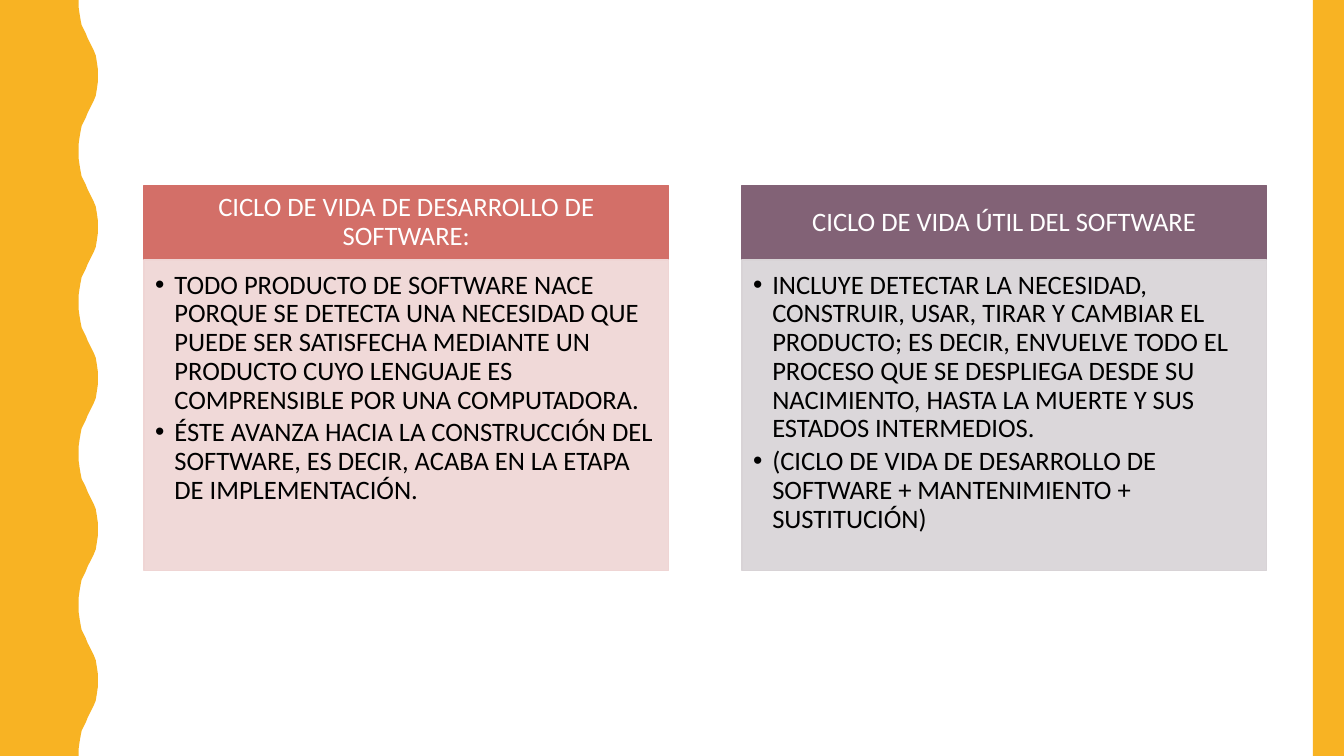
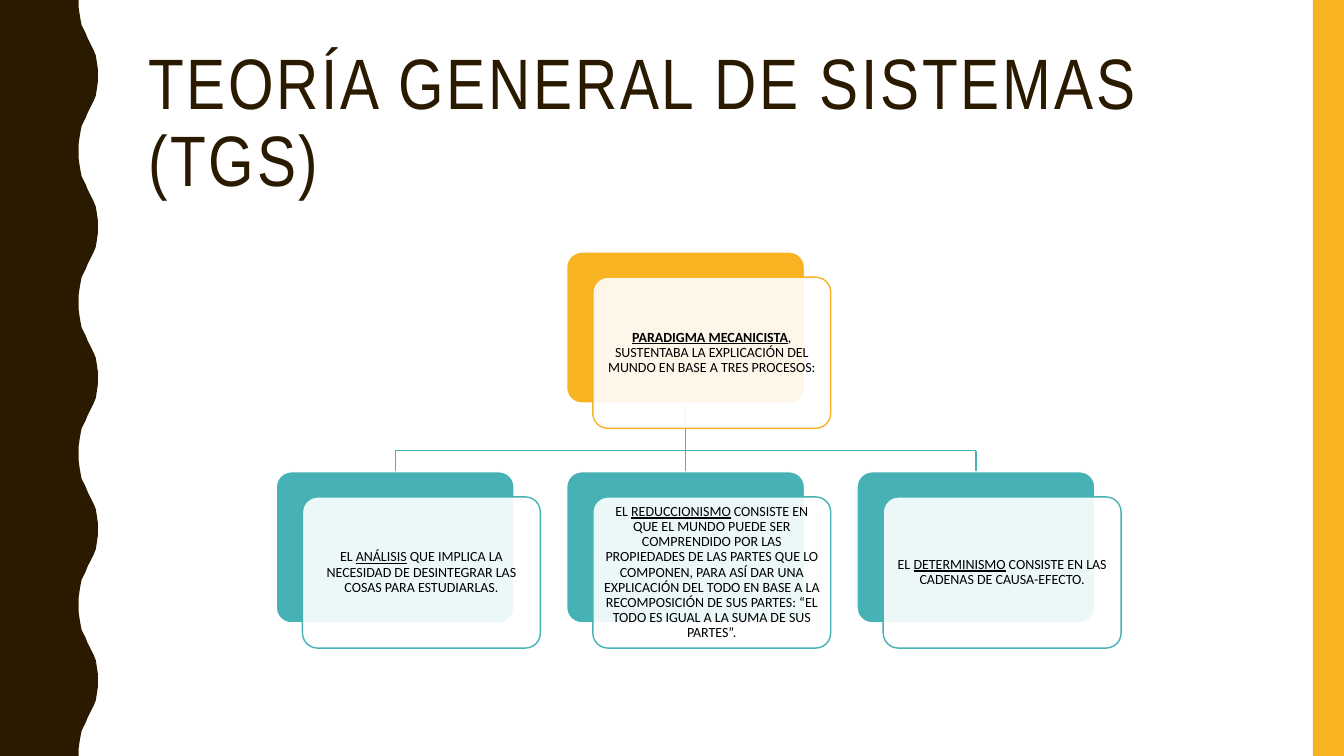
from lxml import etree
from pptx import Presentation
from pptx import util as u
from pptx.dml.color import RGBColor
from pptx.enum import shapes, text
from pptx.oxml import ns

PX = 9144
WIDE, HIGH = 1333, 750
GOLD = RGBColor(0xF8, 0xB3, 0x23)
BROWN = RGBColor(0x2A, 0x1A, 0x00)
TEAL = RGBColor(0x46, 0xB2, 0xB5)
RED = RGBColor(0xD3, 0x6F, 0x68)
PINK = RGBColor(0xEF, 0xD5, 0xD4)
PLUM = RGBColor(0x82, 0x62, 0x76)
GRAY = RGBColor(0xD8, 0xD3, 0xD6)
WHITE = RGBColor(0xFF, 0xFF, 0xFF)
BLACK = RGBColor(0x00, 0x00, 0x00)
BODY, HEAD = "Calibri", "Arial Narrow"

CARDS = [
    ("CICLO DE VIDA DE DESARROLLO DE SOFTWARE:", RED, PINK, [
        "TODO PRODUCTO DE SOFTWARE NACE PORQUE SE DETECTA UNA NECESIDAD QUE PUEDE SER "
        "SATISFECHA MEDIANTE UN PRODUCTO CUYO LENGUAJE ES COMPRENSIBLE POR UNA COMPUTADORA.",
        "ÉSTE AVANZA HACIA LA CONSTRUCCIÓN DEL SOFTWARE, ES DECIR, ACABA EN LA ETAPA DE "
        "IMPLEMENTACIÓN."]),
    ("CICLO DE VIDA ÚTIL DEL SOFTWARE", PLUM, GRAY, [
        "INCLUYE DETECTAR LA NECESIDAD, CONSTRUIR, USAR, TIRAR Y CAMBIAR EL PRODUCTO; ES "
        "DECIR, ENVUELVE TODO EL PROCESO QUE SE DESPLIEGA DESDE SU NACIMIENTO, HASTA LA "
        "MUERTE Y SUS ESTADOS INTERMEDIOS.",
        "(CICLO DE VIDA DE DESARROLLO DE SOFTWARE + MANTENIMIENTO + SUSTITUCIÓN)"]),
]
TITLE = "TEORÍA GENERAL DE SISTEMAS (TGS)"
ROOT = ("", "PARADIGMA MECANICISTA",
        ", SUSTENTABA LA EXPLICACIÓN DEL MUNDO EN BASE A TRES PROCESOS:")
LEAVES = [
    ("EL ", "ANÁLISIS",
     " QUE IMPLICA LA NECESIDAD DE DESINTEGRAR LAS COSAS PARA ESTUDIARLAS."),
    ("EL ", "REDUCCIONISMO",
     " CONSISTE EN QUE EL MUNDO PUEDE SER COMPRENDIDO POR LAS PROPIEDADES DE LAS PARTES "
     "QUE LO COMPONEN, PARA ASÍ DAR UNA EXPLICACIÓN DEL TODO EN BASE A LA RECOMPOSICIÓN "
     "DE SUS PARTES: “EL TODO ES IGUAL A LA SUMA DE SUS PARTES”."),
    ("EL ", "DETERMINISMO", " CONSISTE EN LAS CADENAS DE CAUSA-EFECTO."),
]

PERIOD = 150
RISE = [(78, 0), (78, 7), (79, 14), (80, 20), (81, 25), (83, 29), (85, 33), (87, 38),
        (89, 42), (91, 46), (93, 50), (95, 55), (96, 61), (97, 68), (97, 75)]
CREST = RISE + [(x, PERIOD - y) for x, y in RISE[-2::-1]]

CARD_X, CARD_Y, CARD_W, CARD_STEP = 143, 184, 520, 593
HEAD_H, BODY_H = 74, 308
NODE_W, NODE_H, NODE_STEP = 236, 150, 288
SHIFT_X, SHIFT_Y = 26, 25
LEAF_X, LEAF_Y, ROOT_Y, RAIL_Y = 274, 468, 250, 447


def px(*vals):
    return [u.Emu(v * PX) for v in vals]


def paint(shape, fill, line=None, alpha=None):
    shape.shadow.inherit = False
    shape.fill.solid()
    shape.fill.fore_color.rgb = fill
    if alpha:
        color = shape.fill._xPr.find(ns.qn("a:solidFill"))[0]
        etree.SubElement(color, ns.qn("a:alpha")).set("val", str(alpha * 1000))
    if line is None:
        shape.line.fill.background()
    else:
        shape.line.color.rgb = line
        shape.line.width = u.Pt(1)
    return shape


def box(slide, area, fill, line=None, alpha=None, kind=shapes.MSO_SHAPE.RECTANGLE):
    shape = slide.shapes.add_shape(kind, *px(*area))
    if kind == shapes.MSO_SHAPE.ROUNDED_RECTANGLE:
        shape.adjustments[0] = 0.1
    return paint(shape, fill, line, alpha)


def frame(shape, inset, anchor):
    body = shape.text_frame
    body.word_wrap = True
    body.vertical_anchor = anchor
    body.margin_left, body.margin_top, body.margin_right, body.margin_bottom = px(*inset)
    return body


def style(para, size, color, face=BODY, align=text.PP_ALIGN.CENTER):
    para.alignment = align
    para.line_spacing = 0.9
    para.font.size = u.Pt(size)
    para.font.name = face
    para.font.color.rgb = color


def bullet(para):
    props = para._p.get_or_add_pPr()
    props.set("marL", str(19 * PX))
    props.set("indent", str(-19 * PX))
    etree.SubElement(props, ns.qn("a:buFont")).set("typeface", "Arial")
    etree.SubElement(props, ns.qn("a:buChar")).set("char", "•")


def base(deck, color):
    slide = deck.slides.add_slide(deck.slide_layouts[6])
    pen = slide.shapes.build_freeform(0, 0, scale=PX)
    edge = [(x, top + y) for top in range(0, HIGH, PERIOD) for x, y in CREST]
    pen.add_line_segments(edge + [(0, HIGH)], close=True)
    paint(pen.convert_to_shape(), color)
    box(slide, (1302, 0, WIDE - 1302, HIGH), GOLD)
    return slide


def card(slide, left, name, dark, light, items):
    top = box(slide, (left, CARD_Y, CARD_W, HEAD_H), dark, dark)
    para = frame(top, (15, 8, 15, 8), text.MSO_ANCHOR.MIDDLE).paragraphs[0]
    para.text = name
    style(para, 19, WHITE)
    low = box(slide, (left, CARD_Y + HEAD_H, CARD_W, BODY_H), light, light, 90)
    body = frame(low, (11, 11, 15, 17), text.MSO_ANCHOR.TOP)
    for i, item in enumerate(items):
        para = body.add_paragraph() if i else body.paragraphs[0]
        para.text = item
        para.space_after = u.Pt(3)
        para.line_spacing = 0.9
        bullet(para)
        style(para, 19, BLACK, align=text.PP_ALIGN.LEFT)


def node(slide, left, top, color, words, bold=False):
    rounded = shapes.MSO_SHAPE.ROUNDED_RECTANGLE
    back = box(slide, (left, top, NODE_W, NODE_H), color, WHITE, kind=rounded)
    front = box(slide, (left + SHIFT_X, top + SHIFT_Y, NODE_W, NODE_H),
                WHITE, color, 90, rounded)
    para = frame(front, (4, 4, 4, 4), text.MSO_ANCHOR.MIDDLE).paragraphs[0]
    style(para, 10, BLACK)
    for i, word in enumerate(words):
        if word:
            run = para.add_run()
            run.text = word
            if i == 1:
                run.font.underline = True
                run.font.bold = bold
    return back


def link(slide, ends, start=None, stop=None):
    line = slide.shapes.add_connector(shapes.MSO_CONNECTOR.STRAIGHT, *px(*ends))
    line.line.color.rgb = TEAL
    line.line.width = u.Pt(1)
    etree.SubElement(line._element.spPr, ns.qn("a:effectLst"))
    if start is not None:
        line.begin_connect(start, 2)
    if stop is not None:
        line.end_connect(stop, 0)
    slide.shapes._spTree.insert(2, line._element)


def cycles(deck):
    slide = base(deck, GOLD)
    for i, item in enumerate(CARDS):
        card(slide, CARD_X + i * CARD_STEP, *item)


def theory(deck):
    slide = base(deck, BROWN)
    title = slide.shapes.add_textbox(*px(137, 42, 1113, 163))
    para = frame(title, (10, 5, 10, 5), text.MSO_ANCHOR.MIDDLE).paragraphs[0]
    run = para.add_run()
    run.text = TITLE
    run._r.get_or_add_rPr().set("spc", "200")
    style(para, 51, BROWN, HEAD, text.PP_ALIGN.LEFT)

    lefts = [LEAF_X + i * NODE_STEP for i in range(len(LEAVES))]
    mids = [left + NODE_W // 2 for left in lefts]
    root = node(slide, lefts[1], ROOT_Y, GOLD, ROOT, True)
    leaves = [node(slide, left, LEAF_Y, TEAL, words) for left, words in zip(lefts, LEAVES)]
    link(slide, (mids[0], RAIL_Y, mids[-1], RAIL_Y))
    link(slide, (mids[1], ROOT_Y + NODE_H, mids[1], LEAF_Y), root, leaves[1])
    for i in (0, -1):
        link(slide, (mids[i], RAIL_Y, mids[i], LEAF_Y), stop=leaves[i])


def main():
    deck = Presentation()
    deck.slide_width, deck.slide_height = px(WIDE, HIGH)
    cycles(deck)
    theory(deck)
    deck.save("out.pptx")


if __name__ == "__main__":
    main()
